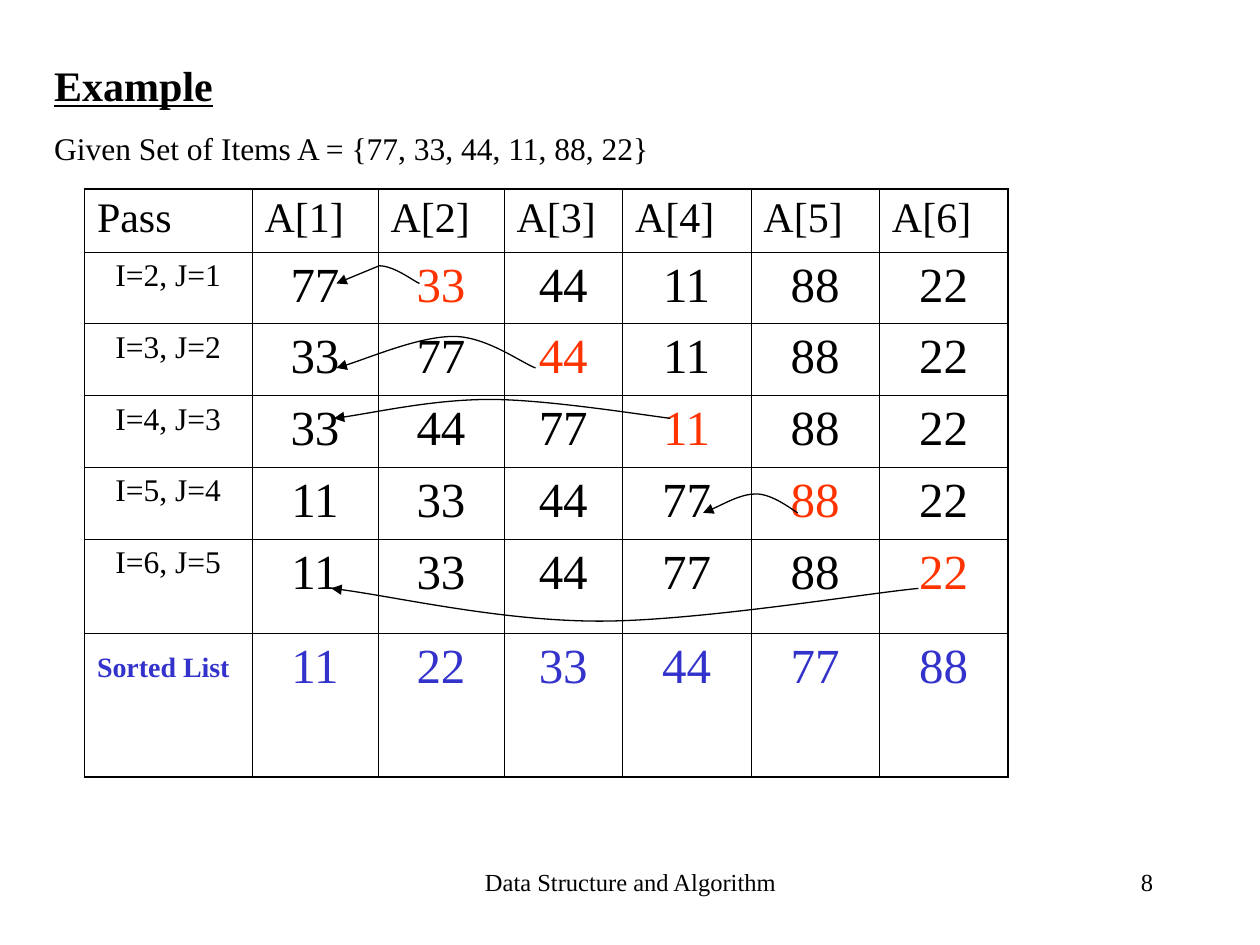
from lxml.etree import SubElement
from pptx import Presentation
from pptx.dml.color import RGBColor
from pptx.enum.text import MSO_ANCHOR as Anchor, MSO_AUTO_SIZE as AutoSize, PP_ALIGN as Align
from pptx.oxml import parse_xml
from pptx.oxml.ns import nsdecls, qn
from pptx.util import Inches, Pt

FONT = "Times New Roman"
BLACK, RED, BLUE = "000000", "FF3300", "3333CC"
ITEMS = [77, 33, 44, 11, 88, 22]
COLUMN_WIDTHS = [1.33, 1, 1, 0.94, 1.02, 1.02, 1.02]
ROW_HEIGHTS = [0.5, 0.57, 0.57, 0.57, 0.57, 0.75, 1.14]
INSERTIONS = [
    ((2.66, 0.75), [[(2.61, 0.73), (2.46, 0.61), (2.34, 0.61)], [(2, 0.75)]]),
    ((3.58, 1.42), [[(3.47, 1.38), (3.19, 1.17), (2.93, 1.17)],
                    [(2.66, 1.17), (2.19, 1.37), (2, 1.42)]]),
    ((4.65, 1.82), [[(4.41, 1.79), (3.66, 1.67), (3.22, 1.67)],
                    [(2.77, 1.67), (2.24, 1.79), (1.98, 1.82)]]),
    ((5.66, 2.57), [[(5.61, 2.54), (5.46, 2.42), (5.33, 2.42)],
                    [(5.21, 2.42), (5, 2.54), (4.91, 2.57)]]),
    ((6.62, 3.17), [[(6.2, 3.21), (4.87, 3.43), (4.09, 3.43)],
                    [(3.31, 3.43), (2.4, 3.22), (1.96, 3.17)]]),
]


def color(hex_value):
    """Turn a hex string into a colour."""
    return RGBColor.from_string(hex_value)


def add_run(paragraph, text, size, hex_value=BLACK, bold=False, underline=False):
    """Add one formatted run to a paragraph."""
    run = paragraph.add_run()
    run.text = text
    run.font.name, run.font.size = FONT, Pt(size)
    run.font.bold, run.font.underline = bold, underline
    run.font.color.rgb = color(hex_value)


def format_paragraph(paragraph, align, space_before=0):
    """Set the alignment and the space above a paragraph."""
    paragraph.alignment = align
    paragraph.space_before = Pt(space_before)


def add_heading(slide, left, top, width, height):
    """Fill the title with the heading and the given set."""
    title = slide.shapes.title
    title.left, title.top = Inches(left), Inches(top)
    title.width, title.height = Inches(width), Inches(height)
    frame = title.text_frame
    frame.word_wrap, frame.vertical_anchor = True, Anchor.TOP
    frame.auto_size = AutoSize.SHAPE_TO_FIT_TEXT
    heading, given = frame.paragraphs[0], frame.add_paragraph()
    format_paragraph(heading, Align.LEFT, 15)
    add_run(heading, "Example", 24, bold=True, underline=True)
    format_paragraph(given, Align.LEFT, 11.2)
    listed = ", ".join(str(item) for item in ITEMS)
    add_run(given, f"Given Set of Items A = {{{listed}}}", 18)


def set_borders(cell, outer_sides):
    """Draw a cell's borders, heavier on the sides at the table's edge."""
    cell.fill.background()
    properties = cell._tc.get_or_add_tcPr()
    for position, side in enumerate("LRTB"):
        width = Pt(1.08 if side in outer_sides else 0.45)
        properties.insert(position, parse_xml(
            f'<a:ln{side} {nsdecls("a")} w="{width}"><a:solidFill>'
            f'<a:srgbClr val="{BLACK}"/></a:solidFill></a:ln{side}>'))


def fill_cell(cell, row, column, values):
    """Write the heading, pass label or item that belongs in a cell."""
    last_row = len(ROW_HEIGHTS) - 1
    paragraph = cell.text_frame.paragraphs[0]
    if row == 0:
        format_paragraph(paragraph, Align.LEFT, 6)
        add_run(paragraph, f"A[{column}]" if column else "Pass", 24)
    elif column:
        marked = RED if column == row + 1 else BLACK
        format_paragraph(paragraph, Align.CENTER, 7)
        add_run(paragraph, str(values[column - 1]), 28, BLUE if row == last_row else marked)
    elif row == last_row:
        format_paragraph(paragraph, Align.LEFT, 6)
        add_run(paragraph, "Sorted List", 16, BLUE, bold=True)
        add_run(paragraph, " ", 24, BLUE)
    else:
        format_paragraph(paragraph, Align.CENTER, 4.5)
        add_run(paragraph, f"I={row + 1}, J={row}", 18)


def add_passes(slide, left, top, width, height):
    """Add the table of insertion sort passes."""
    row_count, column_count = len(ROW_HEIGHTS), len(COLUMN_WIDTHS)
    passes = slide.shapes.add_table(row_count, column_count, Inches(left), Inches(top),
                                    Inches(width), Inches(height)).table
    passes.first_row = passes.horz_banding = False
    for column, column_width in enumerate(COLUMN_WIDTHS):
        passes.columns[column].width = Inches(column_width)
    for row, row_height in enumerate(ROW_HEIGHTS):
        passes.rows[row].height = Inches(row_height)
        values = sorted(ITEMS[:row]) + ITEMS[row:]
        for column in range(column_count):
            cell = passes.cell(row, column)
            edges = {"L": column == 0, "R": column == column_count - 1,
                     "T": row == 0, "B": row == row_count - 1}
            set_borders(cell, [side for side, outer in edges.items() if outer])
            fill_cell(cell, row, column, values)


def add_insertion(slide, left, top, start, segments):
    """Add a curved arrow from an item to the place where it is inserted."""
    def locate(point):
        return Inches(left + point[0]), Inches(top + point[1])

    builder = slide.shapes.build_freeform(*locate(start), scale=1.0)
    builder.add_line_segments([locate(segment[-1]) for segment in segments], close=False)
    arrow = builder.convert_to_shape()
    arrow.shadow.inherit = False
    arrow.fill.background()
    arrow.line.width = Pt(0.75)
    arrow.line.color.rgb = color(BLACK)
    SubElement(arrow.line._get_or_add_ln(), qn("a:tailEnd"), type="triangle")
    strokes = list(arrow._element.iter(qn("a:lnTo")))
    for stroke, segment in zip(strokes, segments):
        if len(segment) == 3:
            curve = parse_xml(f'<a:cubicBezTo {nsdecls("a")}/>')
            for x, y in map(locate, segment):
                SubElement(curve, qn("a:pt"), x=str(x - arrow.left), y=str(y - arrow.top))
            stroke.getparent().replace(stroke, curve)


def add_footer(slide, left, top, width, height, text, align):
    """Add one text at the foot of the slide."""
    footer = slide.shapes.add_textbox(Inches(left), Inches(top), Inches(width), Inches(height))
    footer.text_frame.word_wrap = True
    paragraph = footer.text_frame.paragraphs[0]
    format_paragraph(paragraph, align)
    add_run(paragraph, text, 14)


def main():
    """Build the slide and save it."""
    presentation = Presentation()
    presentation.slide_width, presentation.slide_height = Inches(10), Inches(7.5)
    slide = presentation.slides.add_slide(presentation.slide_layouts[5])
    add_heading(slide, 0.33, 0.42, 9.33, 0.96)
    add_passes(slide, 0.67, 1.5, sum(COLUMN_WIDTHS), sum(ROW_HEIGHTS))
    for start, segments in INSERTIONS:
        add_insertion(slide, 0.67, 1.5, start, segments)
    add_footer(slide, 3.42, 6.83, 3.17, 0.5, "Data Structure and Algorithm", Align.CENTER)
    add_footer(slide, 7.17, 6.83, 2.08, 0.5, "8", Align.RIGHT)
    presentation.save("out.pptx")


if __name__ == "__main__":
    main()
